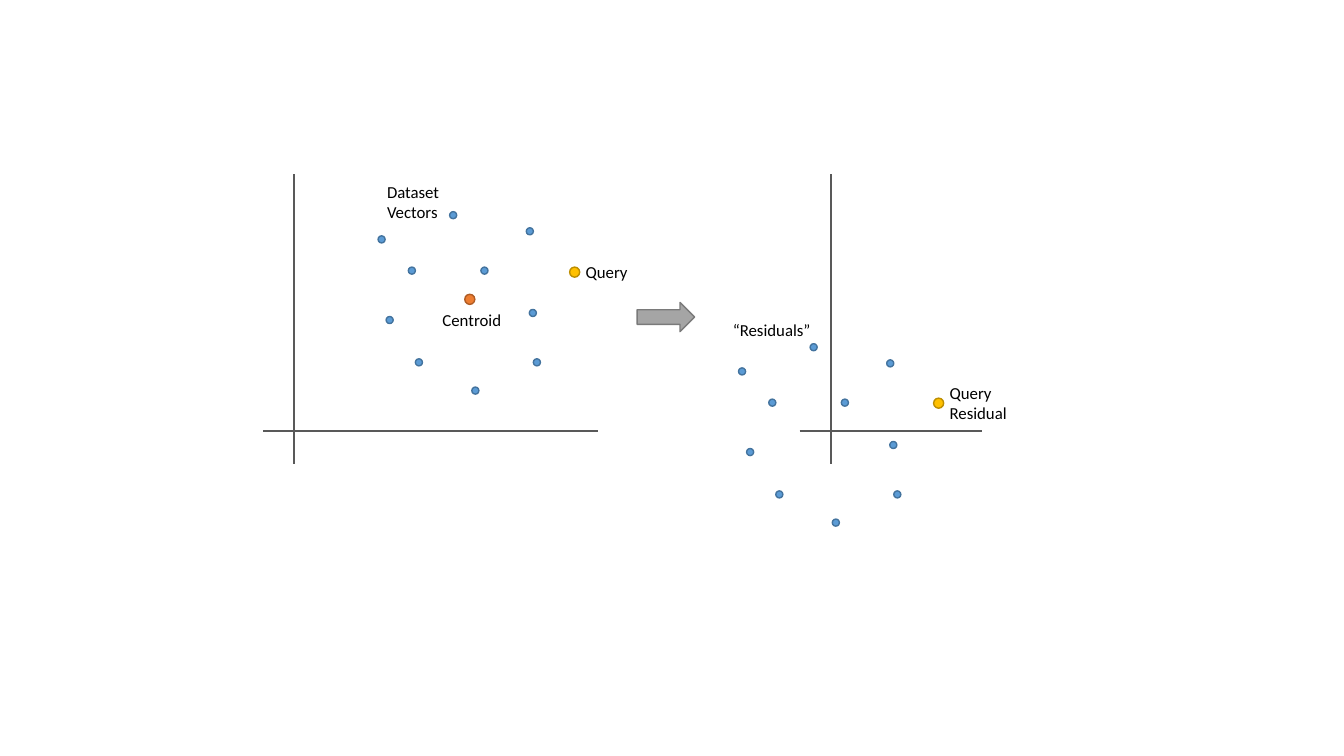
from pptx import Presentation
from pptx import util as u
from pptx.dml.color import RGBColor
from pptx.enum import shapes, text
from pptx.oxml import ns
from lxml import etree

CELL = u.Inches(1)
WIDE, HIGH = 13.33, 7.5
SHIFT = 3.575, 1.31
DOT, MARK = 0.07, 0.1
BLUE = "5B9BD5", "43739E"
ORANGE = "ED7D31", "AF5C24"
GOLD = "FFC000", "BD8E00"
GRAY = "A5A5A5", "7A7A7A"
AXIS, INK = "595959", "000000"
FONT = {"name": "Calibri", "size": u.Pt(12)}
FRAME = {"word_wrap": True, "auto_size": text.MSO_AUTO_SIZE.SHAPE_TO_FIT_TEXT}
POINTS = [
    (3.75, 2.34), (5.25, 3.07), (4.12, 3.56), (3.83, 3.14), (4.05, 2.65),
    (4.77, 2.65), (5.22, 2.26), (5.29, 3.56), (4.46, 2.1), (4.68, 3.84),
]


def grid(*cells):
    return [round(cell * CELL) for cell in cells]


def style(item, values):
    for key, value in values.items():
        setattr(item, key, value)


def paint(target, color):
    target.rgb = RGBColor.from_string(color)


def stroke(line, color, width):
    paint(line.color, color)
    line.width = u.Pt(width)


def add_line(slide, x1, y1, x2, y2):
    line = slide.shapes.add_connector(
        shapes.MSO_CONNECTOR.STRAIGHT, *grid(x1, y1, x2, y2))
    stroke(line.line, AXIS, 1.5)
    etree.SubElement(line._element.spPr, ns.qn("a:effectLst"))


def add_axes(slide, x, end):
    add_line(slide, x, 1.73, x, 4.6)
    add_line(slide, x - 0.31, 4.28, end, 4.28)


def add_form(slide, kind, box, colors):
    form = slide.shapes.add_shape(kind, *grid(*box))
    form.shadow.inherit = False
    form.fill.solid()
    paint(form.fill.fore_color, colors[0])
    stroke(form.line, colors[1], 1)


def add_dot(slide, x, y, size, colors):
    add_form(slide, shapes.MSO_SHAPE.OVAL, (x, y, size, size), colors)


def add_cloud(slide, dx=0, dy=0):
    for x, y in POINTS:
        add_dot(slide, x + dx, y + dy, DOT, BLUE)


def add_label(slide, words, x, y, width=0.92, height=0.3):
    label = slide.shapes.add_textbox(*grid(x, y, width, height))
    style(label.text_frame, FRAME)
    run = label.text_frame.paragraphs[0].add_run()
    run.text = words
    style(run.font, FONT)
    paint(run.font.color, INK)


def main():
    deck = Presentation()
    deck.slide_width, deck.slide_height = grid(WIDE, HIGH)
    slide = deck.slides.add_slide(deck.slide_layouts[6])

    add_axes(slide, 2.92, 5.93)
    add_cloud(slide)
    add_dot(slide, 4.61, 2.92, MARK, ORANGE)
    add_label(slide, "Centroid", 4.29, 3.02)
    add_label(slide, "Dataset Vectors", 3.74, 1.75, height=0.5)

    add_axes(slide, 8.24, 9.74)
    add_cloud(slide, *SHIFT)
    add_label(slide, "“Residuals”", 7.17, 3.12, width=1.03)

    add_form(slide, shapes.MSO_SHAPE.RIGHT_ARROW, (6.32, 3, 0.57, 0.29), GRAY)
    add_dot(slide, 5.65, 2.65, MARK, GOLD)
    add_label(slide, "Query", 5.71, 2.55)
    add_dot(slide, 9.26, 3.95, MARK, GOLD)
    add_label(slide, "Query Residual", 9.32, 3.75, height=0.5)

    deck.save("out.pptx")


if __name__ == "__main__":
    main()
